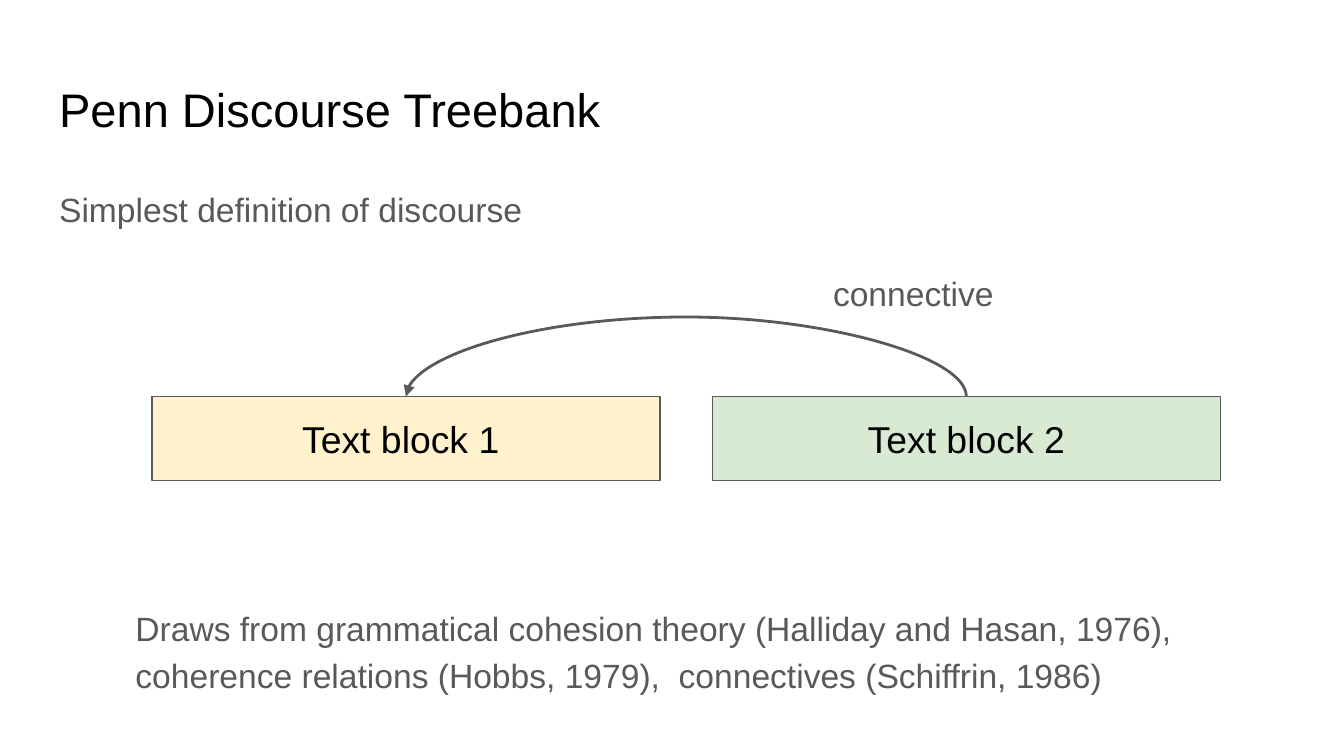
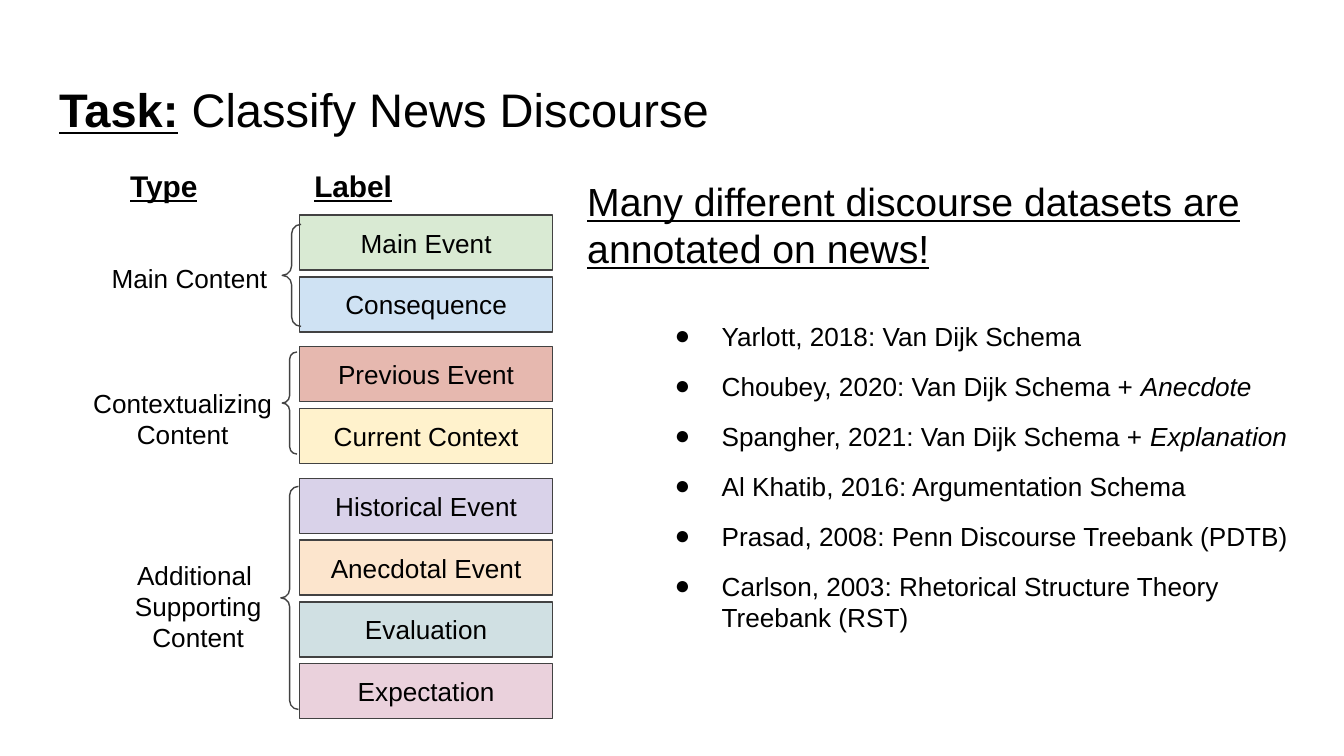
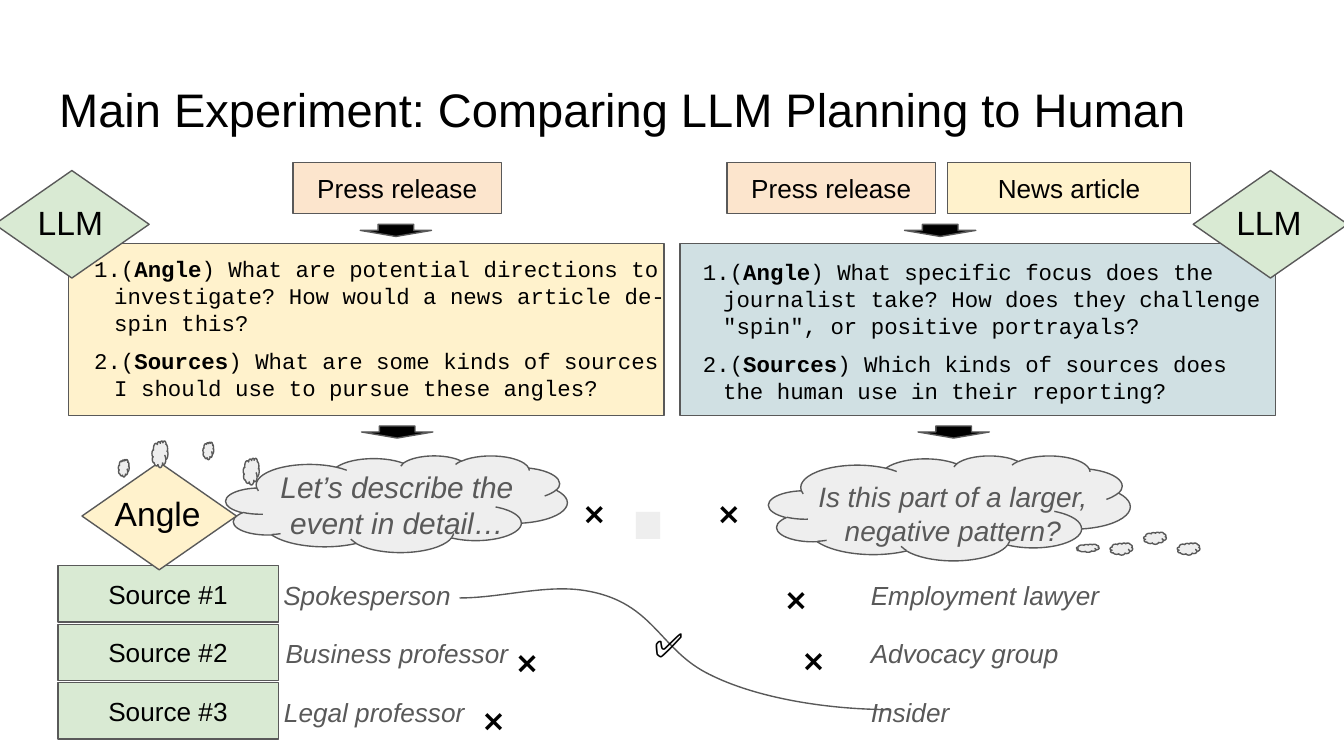
"""Build three slides on discourse treebanks, news labels and planning."""
import lxml.etree
import pptx
import pptx.dml.color
import pptx.enum.shapes
import pptx.enum.text
import pptx.oxml.ns
import pptx.util

Pt = pptx.util.Pt
qn = pptx.oxml.ns.qn
Shape = pptx.enum.shapes.MSO_SHAPE
Align = pptx.enum.text.PP_ALIGN
Anchor = pptx.enum.text.MSO_ANCHOR


class Theme:
    font, mono = "Arial", "Courier New"
    black, gray, dark, smoke = "000000", "595959", "424242", "EEEEEE"
    green, yellow, blue, red = "D9EAD3", "FFF2CC", "CFE2F3", "E6B8AF"
    purple, orange, teal, pink = "D9D2E9", "FCE5CD", "D0E0E3", "EAD1DC"
    title, headline, block, body = 25.2, 21, 20, 18
    heading, thought, label, code = 16, 15, 14, 12
    thin, thick, inset = 0.75, 1.5, 7.2


def rgb(color):
    return pptx.dml.color.RGBColor.from_string(color)


class Deck:
    def __init__(self):
        self.presentation = pptx.Presentation()
        self.presentation.slide_width = Pt(720)
        self.presentation.slide_height = Pt(405)
        self.slide = None

    def new_slide(self, layout, title, width=671):
        self.slide = self.presentation.slides.add_slide(self.presentation.slide_layouts[layout])
        shape = self.slide.shapes.title
        self.move(shape, (24.5, 35.3, width, 45.4))
        self.set_text(shape, [title], Theme.title, anchor=Anchor.BOTTOM)

    def move(self, shape, box):
        shape.left, shape.top, shape.width, shape.height = map(Pt, box)

    def set_text(self, shape, lines, size, color=Theme.black, font=Theme.font, align=Align.LEFT,
                 anchor=Anchor.TOP, marks="", spacing=1.0, after=0):
        frame = shape.text_frame
        frame.word_wrap = True
        frame.auto_size = pptx.enum.text.MSO_AUTO_SIZE.NONE
        frame.vertical_anchor = anchor
        frame.margin_left = frame.margin_right = Pt(Theme.inset)
        frame.margin_top = frame.margin_bottom = Pt(Theme.inset)
        for number, line in enumerate(lines):
            paragraph = frame.add_paragraph() if number else frame.paragraphs[0]
            paragraph.alignment = align
            paragraph.line_spacing = spacing
            paragraph.space_before, paragraph.space_after = Pt(0), Pt(after)
            self.bullet(paragraph, "buNone")
            parts = [(line, marks)] if isinstance(line, str) else line
            for text, style in parts:
                run = paragraph.add_run()
                run.text = text
                run.font.name, run.font.size = font, Pt(size)
                run.font.color.rgb = rgb(color)
                run.font.bold, run.font.italic = "b" in style, "i" in style
                run.font.underline = "u" in style

    def bullet(self, paragraph, kind, left=0, indent=0, **attributes):
        properties = paragraph._p.get_or_add_pPr()
        for old in properties.findall(qn("a:buNone")):
            properties.remove(old)
        properties.set("marL", str(Pt(left)))
        properties.set("indent", str(Pt(indent)))
        if kind != "buNone":
            color = lxml.etree.SubElement(properties, qn("a:buClr"))
            lxml.etree.SubElement(color, qn("a:srgbClr"), val=Theme.black)
        lxml.etree.SubElement(properties, qn(f"a:{kind}"), **attributes)

    def body(self, index, box, lines, size, **style):
        shape = self.slide.placeholders[index]
        self.move(shape, box)
        shape.element.getparent().append(shape.element)
        self.set_text(shape, lines, size, **style)
        return shape.text_frame.paragraphs

    def numbered(self, index, box, lines, left):
        paragraphs = self.body(index, box, lines, Theme.code, font=Theme.mono)
        for number, paragraph in enumerate(paragraphs):
            paragraph.space_before = Pt(6 * number)
            self.bullet(paragraph, "buAutoNum", left, -10.8, type="arabicPeriod")

    def text(self, box, lines, size=Theme.label, **style):
        shape = self.slide.shapes.add_textbox(*map(Pt, box))
        self.set_text(shape, lines, size, **style)

    def shape(self, kind, box, fill=None, line=Theme.gray, text=None, size=Theme.label):
        shape = self.slide.shapes.add_shape(kind, *map(Pt, box))
        self.paint(shape, fill, line)
        if text:
            self.set_text(shape, [text], size, align=Align.CENTER, anchor=Anchor.MIDDLE)
        return shape

    def paint(self, shape, fill, line):
        shape.shadow.inherit = False
        if fill:
            shape.fill.solid()
            shape.fill.fore_color.rgb = rgb(fill)
        else:
            shape.fill.background()
        if line:
            shape.line.color.rgb = rgb(line)
            shape.line.width = Pt(Theme.thin)
        else:
            shape.line.fill.background()

    def brace(self, box):
        self.shape(Shape.LEFT_BRACE, box, line=Theme.dark).adjustments[0] = 0.5

    def diamond(self, left, top, fill, text):
        self.shape(Shape.DIAMOND, (left, top, 82.8, 57.6), fill)
        self.text((left + 3.5, top + 9.4, 74.2, 36.7), [text], Theme.body, align=Align.CENTER)

    def down_arrow(self, left, top):
        self.shape(Shape.DOWN_ARROW, (left, top, 38.2, 6.5), Theme.black)

    def cloud(self, *box):
        self.shape(Shape.CLOUD, box, Theme.smoke)

    def arch(self, start, end, rise):
        connector = self.slide.shapes.add_connector(
            pptx.enum.shapes.MSO_CONNECTOR.CURVE, 0, 0, Pt(1), Pt(1))
        connector.begin_connect(start, 0)
        connector.end_connect(end, 0)
        span, depth = connector.width, Pt(0.05)
        connector.left += span // 2
        connector.top -= span // 2
        connector.width, connector.height = depth, span
        connector.line.color.rgb = rgb(Theme.gray)
        connector.line.width = Pt(Theme.thick)
        properties = connector.element.spPr
        transform = properties.find(qn("a:xfrm"))
        transform.set("rot", "16200000")
        transform.set("flipH", "1")
        ratio = -round(Pt(rise) / depth * 100000)
        guides = properties.find(qn("a:prstGeom")).find(qn("a:avLst"))
        lxml.etree.SubElement(guides, qn("a:gd"), name="adj1", fmla=f"val {ratio}")
        lxml.etree.SubElement(properties.find(qn("a:ln")), qn("a:tailEnd"), type="triangle")
        lxml.etree.SubElement(properties, qn("a:effectLst"))

    def curve(self, start, points):
        builder = self.slide.shapes.build_freeform(*map(Pt, start))
        builder.add_line_segments([(Pt(x), Pt(y)) for x, y in points], close=False)
        shape = builder.convert_to_shape()
        self.paint(shape, None, Theme.gray)
        outline = next(shape.element.iter(qn("a:path")))
        segments = outline.findall(qn("a:lnTo"))
        for first in range(0, len(segments), 3):
            bezier = lxml.etree.SubElement(outline, qn("a:cubicBezTo"))
            for segment in segments[first:first + 3]:
                bezier.append(segment[0])
                outline.remove(segment)


def treebank_slide(deck):
    deck.new_slide(1, "Penn Discourse Treebank")
    note = dict(color=Theme.gray, spacing=1.15, after=12)
    deck.body(1, (24.5, 90.7, 671, 56.2), ["Simplest definition of discourse"], Theme.body, **note)
    deck.text((65.5, 315.4, 588.2, 61.2), [
        "Draws from grammatical cohesion theory (Halliday and Hasan, 1976), "
        "coherence relations (Hobbs, 1979),  connectives (Schiffrin, 1986)"], Theme.body, **note)
    first, second = [
        deck.shape(Shape.RECTANGLE, (left, 212.4, 272.2, 45.2), fill, text=text, size=Theme.block)
        for left, fill, text in ((81.4, Theme.yellow, "Text block 1 "),
                                 (381.6, Theme.green, "Text block 2"))]
    deck.arch(first, second, 37.5)
    deck.text((439.2, 139, 199.4, 35.3), ["connective"], Theme.body, color=Theme.gray)


def news_slide(deck):
    deck.new_slide(1, [("Task:", "bu"), (" Classify News Discourse", "")])
    groups = (
        ((151.2, 120.2, 10.1, 54.7), (46.1, 133.2, 110.9, 29.5), ["Main Content"],
         (("Main Event", Theme.green), ("Consequence", Theme.blue))),
        ((151.2, 188.6, 7.9, 54.7), (36.7, 200.2, 122.4, 36.7), ["Contextualizing", "Content"],
         (("Previous Event", Theme.red), ("Current Context", Theme.yellow))),
        ((150.5, 260.6, 9.4, 119.5), (43.9, 292.3, 124.6, 51.8),
         ["Additional ", "Supporting", "Content"],
         (("Historical Event", Theme.purple), ("Anecdotal Event", Theme.orange),
          ("Evaluation", Theme.teal), ("Expectation", Theme.pink))))
    top = 115.2
    for brace, box, kind, labels in groups:
        for label, fill in labels:
            deck.shape(Shape.RECTANGLE, (160.6, top, 135.4, 29.5), fill, Theme.dark, label)
            top += 33.1
        top += 4.3
        deck.brace(brace)
        deck.text(box, kind, align=Align.CENTER)
    deck.text((161.3, 82.8, 125.3, 27.4), ["Label"], Theme.heading, marks="bu")
    deck.text((62.6, 82.8, 71.3, 33.8), ["Type"], Theme.heading, marks="bu")
    datasets = [
        "Yarlott, 2018: Van Dijk Schema",
        [("Choubey, 2020: Van Dijk Schema + ", ""), ("Anecdote", "i")],
        [("Spangher, 2021: Van Dijk Schema + ", ""), ("Explanation", "i")],
        "Al Khatib, 2016: Argumentation Schema",
        "Prasad, 2008: Penn Discourse Treebank (PDTB)",
        "Carlson, 2003: Rhetorical Structure Theory Treebank (RST)"]
    headline = "Many different discourse datasets are annotated on news!"
    paragraphs = deck.body(1, (307.4, 87.8, 395.3, 262.1), [headline] + datasets, Theme.label)
    paragraphs[0].runs[0].font.size = Pt(Theme.headline)
    paragraphs[0].runs[0].font.underline = True
    for number, paragraph in enumerate(paragraphs[1:]):
        paragraph.space_before = Pt(10 if number else 26)
        deck.bullet(paragraph, "buChar", 72, -25.2, char="●")


def experiment_slide(deck):
    deck.new_slide(3, "Main Experiment: Comparing LLM Planning to Human", 695.5)
    for left, fill in ((364.3, Theme.teal), (36.7, Theme.yellow)):
        deck.shape(Shape.RECTANGLE, (left, 130.3, 319, 92.2), fill)
    for left in (-2.9, 639.2):
        deck.diamond(left, 91.4, Theme.green, "LLM")
    for left, top in ((193, 120.2), (484.6, 120.2), (491.8, 228.2), (193.7, 228.2)):
        deck.down_arrow(left, top)
    deck.numbered(1, (36, 129.6, 328.3, 93.6), [
        [("(", ""), ("Angle", "b"), (") What are potential directions to investigate? "
                                     "How would a news article de-spin this?", "")],
        [("(", ""), ("Sources", "b"), (") What are some kinds of sources I should use "
                                       "to pursue these angles?", "")]], 18)
    deck.numbered(2, (366.5, 131, 323.3, 93.6), [
        [("(", ""), ("Angle", "b"), (") What specific focus does the journalist take? How does "
                                     'they challenge "spin", or positive portrayals?', "")],
        [("(", ""), ("Sources", "b"), (") Which kinds of sources does the human use "
                                       "in their reporting?", "")]], 13.7)
    for left, width, fill, text in ((157, 111.6, Theme.orange, "Press release"),
                                    (507.6, 130.3, Theme.yellow, "News article"),
                                    (389.5, 111.6, Theme.orange, "Press release")):
        deck.shape(Shape.RECTANGLE, (left, 87.1, width, 27.4), fill, text=text)
    deck.shape(Shape.RECTANGLE, (340.6, 274.3, 13, 14.4), Theme.smoke, None)
    deck.curve((246.2, 320.4), [
        (269.3, 320.4), (293.8, 312.5), (315.4, 316.8),
        (350.6, 323.3), (353.5, 348.5), (380.2, 361.4),
        (404.6, 373.7), (442.1, 380.2), (477.4, 380.2)])
    deck.text((343.4, 301.7, 32.4, 61.2), ["✅"], Theme.body, anchor=Anchor.BOTTOM, spacing=1.15)

    thought = dict(color=Theme.gray, marks="i")
    rows = (("Spokesperson", 144.7, 149, Align.LEFT, "Employment lawyer"),
            ("Business professor", 138.2, 149, Align.CENTER, "Advocacy group"),
            ("Legal professor", 137.5, 126, Align.CENTER, "Insider"))
    for number, (planned, left, width, align, human) in enumerate(rows):
        top = 303.1 + 31.3 * number
        deck.shape(Shape.RECTANGLE, (31, top, 118.1, 30.2), Theme.green,
                   text=f"Source #{number + 1}")
        deck.text((left, top, width, 31.7), [planned], align=align, **thought)
        deck.text((459.4, top, 147.6, 31.7), [human], **thought)

    deck.cloud(411.8, 244.1, 193.7, 56.2)
    deck.text((402.5, 249.8, 216, 44.6), ["Is this part of a larger, negative pattern?"],
              Theme.thought, align=Align.CENTER, **thought)
    deck.cloud(121, 244.1, 182.9, 51.8)
    deck.text((127.4, 244.1, 170.6, 25.9), ["Let’s describe the event in detail…"],
              Theme.heading, align=Align.CENTER, **thought)
    deck.diamond(43.9, 247.7, Theme.yellow, "Angle")
    for left, top, width, height in (
            (594.7, 290.9, 12.2, 6.5), (576.7, 291.6, 12.2, 4.3),
            (612.7, 285.1, 12.2, 6.5), (630.7, 290.9, 12.2, 6.5),
            (130.3, 245.5, 8.6, 14.4), (108.7, 236.9, 5.8, 9.4),
            (81.4, 236.2, 8.6, 14.4), (63.4, 246.2, 5.8, 9.4)):
        deck.cloud(left, top, width, height)
    for left, top in ((423.4, 334.1), (378, 255.6), (414, 301.7),
                      (270, 335.5), (252, 366.5), (306, 255.6)):
        deck.text((left, top, 22.3, 22.3), ["❌"], Theme.heading, spacing=1.15, after=9)


def main():
    deck = Deck()
    treebank_slide(deck)
    news_slide(deck)
    experiment_slide(deck)
    deck.presentation.save("out.pptx")


if __name__ == "__main__":
    main()
